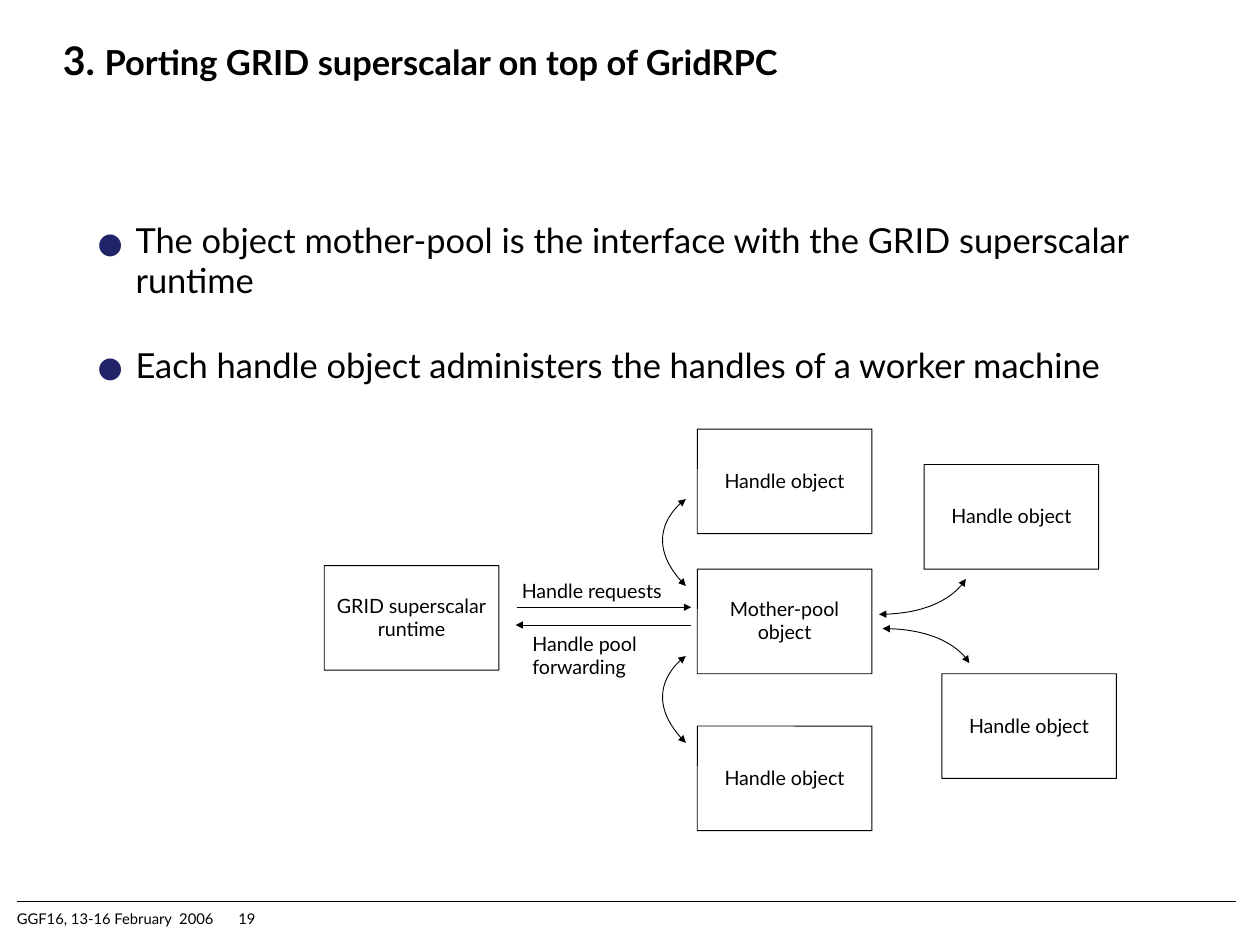
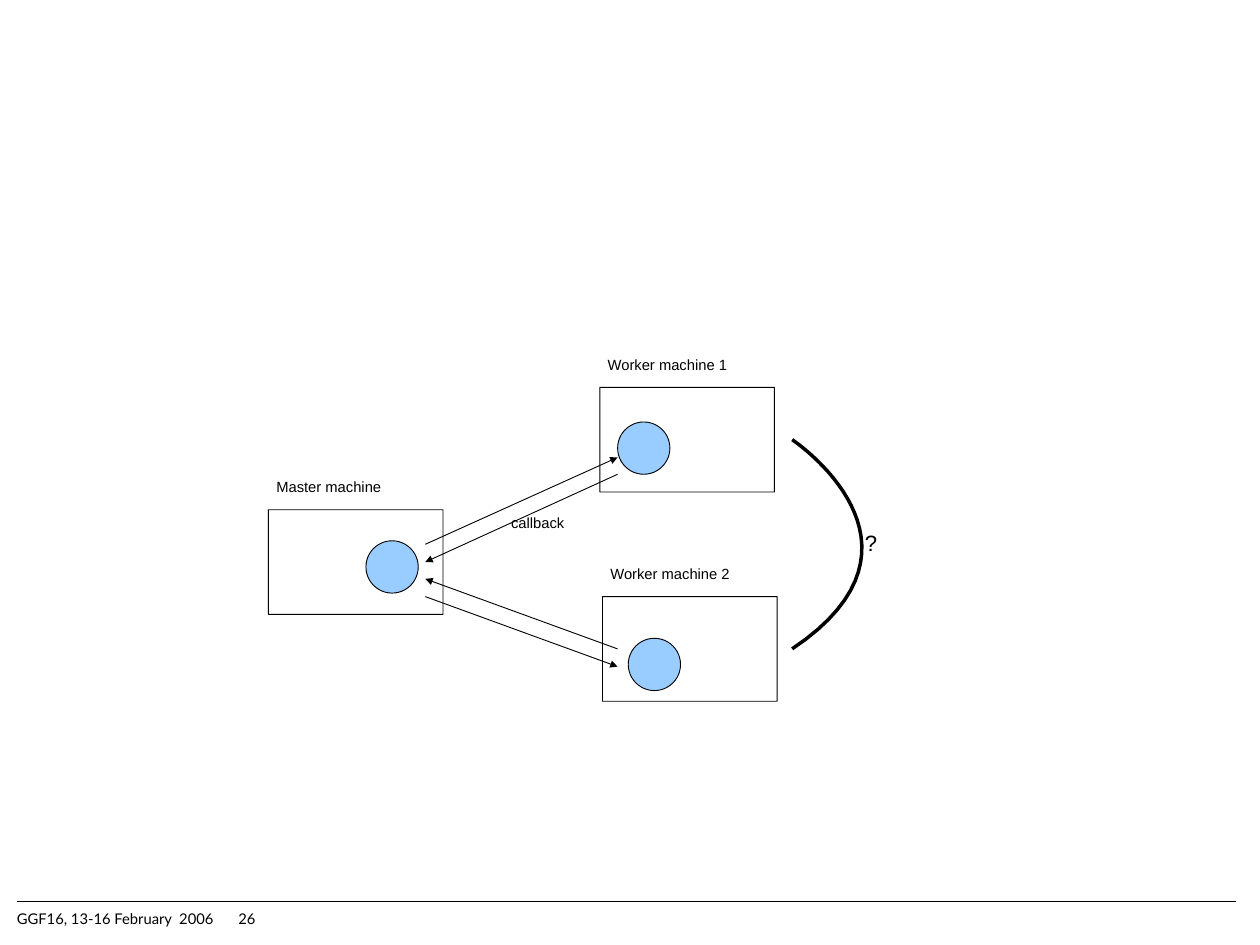
from lxml import etree
from pptx import Presentation
from pptx.dml.color import RGBColor
from pptx.enum.shapes import MSO_CONNECTOR, MSO_SHAPE
from pptx.enum.text import MSO_ANCHOR, MSO_AUTO_SIZE, PP_ALIGN
from pptx.oxml.ns import qn
from pptx.util import Inches, Pt

LINE = MSO_CONNECTOR.STRAIGHT
BOX, DISC = MSO_SHAPE.ROUNDED_RECTANGLE, MSO_SHAPE.OVAL
TOP, MIDDLE = MSO_ANCHOR.TOP, MSO_ANCHOR.MIDDLE
LEFT, CENTER = PP_ALIGN.LEFT, PP_ALIGN.CENTER
FIXED = MSO_AUTO_SIZE.NONE

# Shared look
BLACK, WHITE, SKY, NAVY = "000000", "FFFFFF", "99CCFF", "212466"
LATO, ARIAL = "Lato", "Arial"
THIN, BOLD = 0.75, 2.83
BOX_W, BOX_H, DISC_D = 1.97, 1.18, 0.59
PAD = (0.1, 0.05)


def color(code):
    return RGBColor.from_string(code)


def style(item, **look):
    for name, value in look.items():
        setattr(item, name, value)


def ink(run, size, name=LATO, bold=False):
    style(run.font, size=Pt(size), name=name, bold=bold)
    run.font.color.rgb = color(BLACK)


def node(parent, tag, **attrs):
    return etree.SubElement(parent, qn(tag), **attrs)


def frame(shape, pad=(0, 0), anchor=TOP, wrap=True):
    x, y = map(Inches, pad)
    style(shape.text_frame, auto_size=FIXED, word_wrap=wrap,
          vertical_anchor=anchor, margin_left=x, margin_right=x,
          margin_top=y, margin_bottom=y)
    return shape.text_frame


def fill_text(tf, text, size, name=LATO, align=LEFT):
    """Write one paragraph for each line of text."""
    tf.text = text
    for para in tf.paragraphs:
        style(para, alignment=align, line_spacing=0.98 if name == LATO else 0.93)
        for run in para.runs:
            ink(run, size, name)


def text_box(slide, x, y, w, h):
    return slide.shapes.add_textbox(*map(Inches, (x, y, w, h)))


def label(slide, text, x, y, w, h, size=12, name=ARIAL):
    tf = frame(text_box(slide, x, y, w, h), PAD, wrap=False)
    fill_text(tf, text, size, name)


def outline(shape, width=THIN):
    shape.line.color.rgb = color(BLACK)
    shape.line.width = Pt(width)


def solid(slide, kind, x, y, w, h, paint):
    shape = slide.shapes.add_shape(kind, *map(Inches, (x, y, w, h)))
    shape.shadow.inherit = False
    shape.fill.solid()
    shape.fill.fore_color.rgb = color(paint)
    outline(shape)
    return shape


def box(slide, x, y, text=""):
    shape = solid(slide, BOX, x, y, BOX_W, BOX_H, WHITE)
    shape.adjustments[0] = 0.001
    if text:
        fill_text(frame(shape, PAD, MIDDLE), text, 16, align=CENTER)


def disc(slide, x, y):
    solid(slide, DISC, x, y, DISC_D, DISC_D, SKY)


def tips(shape, *ends):
    ln = shape.element.spPr.find(qn("a:ln"))
    for end in ends:
        node(ln, end, type="triangle")


def line(slide, start, stop, width=THIN):
    wire = slide.shapes.add_connector(LINE, *map(Inches, (*start, *stop)))
    outline(wire, width)
    node(wire.element.spPr, "a:effectLst")
    return wire


def arrow(slide, start, stop):
    tips(line(slide, start, stop), "a:tailEnd")


def curve(slide, start, bend, stop, width=THIN, steps=32):
    """Draw a cubic curve whose second control point is its end."""
    def spot(t):
        a, b = (1 - t) ** 3, 3 * t * (1 - t) ** 2
        return [Inches(a * p + b * q + (1 - a - b) * r)
                for p, q, r in zip(start, bend, stop)]

    pen = slide.shapes.build_freeform(*spot(0))
    pen.add_line_segments([spot(i / steps) for i in range(1, steps + 1)],
                          close=False)
    shape = pen.convert_to_shape()
    shape.shadow.inherit = False
    shape.fill.background()
    outline(shape, width)
    return shape


def link(slide, start, bend, stop):
    tips(curve(slide, start, bend, stop), "a:headEnd", "a:tailEnd")


def footer(slide, number):
    tf = frame(text_box(slide, 0.19, 10.27, 13.75, 0.2))
    tabs = node(tf.paragraphs[0]._p.get_or_add_pPr(), "a:tabLst")
    node(tabs, "a:tab", pos=str(Inches(6.93)), algn="ctr")
    fill_text(tf, f"GGF16, 13-16 February  2006\t{number}", 12)
    line(slide, (0.19, 10.17), (13.95, 10.17), 1)


def heading(slide, mark, text):
    title = slide.shapes.title
    place = map(Inches, (0.71, 0.2, 12.8, 0.98))
    style(title, **dict(zip(("left", "top", "width", "height"), place)))
    para = frame(title, anchor=MIDDLE).paragraphs[0]
    style(para, alignment=LEFT, line_spacing=0.98)
    for part, size in ((mark, 32), (text, 28)):
        run = para.add_run()
        run.text = part
        ink(run, size, bold=True)


def bullets(slide, items):
    tf = frame(text_box(slide, 0.71, 2.49, 12.8, 2.2))
    fill_text(tf, "\n".join(text for text, _ in items), 28)
    for para, (_, space) in zip(tf.paragraphs, items):
        style(para, line_spacing=space, space_after=Pt(26))
        props = para._p.get_or_add_pPr()
        props.set("marL", str(Inches(0.82)))
        props.set("indent", str(Inches(-0.47)))
        node(node(props, "a:buClr"), "a:srgbClr", val=NAVY)
        node(props, "a:buSzPct", val="171000")
        node(props, "a:buFont", typeface=LATO)
        node(props, "a:buChar", char="•")


def pool_slide(deck):
    slide = deck.slides.add_slide(deck.slide_layouts[5])
    footer(slide, 19)
    heading(slide, "3. ", "Porting GRID superscalar on top of GridRPC")
    bullets(slide, [
        ("The object mother-pool is the interface with the GRID superscalar "
         "runtime", 0.98),
        ("Each handle object administers the handles of a worker machine",
         1.24)])

    # Objects
    box(slide, 3.66, 6.38, "GRID superscalar\nruntime")
    box(slide, 7.87, 6.42, "Mother-pool\nobject")
    for x, y in ((7.87, 4.84), (10.43, 5.24), (7.87, 8.19), (10.63, 7.6)):
        box(slide, x, y, "Handle object")

    # Links from the pool to its handles
    for y in (5.63, 7.4):
        link(slide, (7.74, y + 0.98), (7.15, y + 0.39), (7.74, y))
    for x, y, rise in ((9.92, 6.93, -0.4), (9.96, 7.09, 0.39)):
        link(slide, (x, y), (x + 0.79, y), (x + 0.98, y + rise))

    # Messages between runtime and pool
    label(slide, "Handle requests", 5.79, 6.49, 2.01, 0.36, 16, LATO)
    arrow(slide, (5.83, 6.85), (7.8, 6.85))
    arrow(slide, (7.8, 7.05), (5.82, 7.05))
    label(slide, "Handle pool\nforwarding", 5.91, 7.09, 1.59, 0.62, 16, LATO)


def machine_slide(deck):
    slide = deck.slides.add_slide(deck.slide_layouts[6])
    footer(slide, 26)

    # Machines, each with its process
    for text, x, y, w, dx, dy in (
            ("Master machine", 3.03, 5.75, 1.38, 1.1, 0.35),
            ("Worker machine 1", 6.77, 4.37, 1.55, 0.2, 0.39),
            ("Worker machine 2", 6.8, 6.73, 1.55, 0.29, 0.47)):
        box(slide, x, y)
        label(slide, text, x - 0.01, y - 0.39, w, 0.28)
        disc(slide, x + dx, y + dy)

    # Calls and callbacks
    near, far = 4.8, 6.97
    for call, reach, reply, back in ((6.14, 5.16, 5.35, 6.34),
                                     (6.73, 7.52, 7.32, 6.53)):
        arrow(slide, (near, call), (far, reach))
        arrow(slide, (far, reply), (near, back))
    label(slide, "callback", 5.67, 5.76, 0.8, 0.28)

    # Open question between the workers
    curve(slide, (8.94, 7.32), (10.71, 6.14), (8.94, 4.96), BOLD)
    tf = frame(text_box(slide, 8.94, 5.93, 1.78, 0.42), (0.12, 0.07), MIDDLE)
    fill_text(tf, "?", 18, ARIAL, CENTER)


def main():
    deck = Presentation()
    style(deck, slide_width=Inches(14.22), slide_height=Inches(10.66))
    pool_slide(deck)
    machine_slide(deck)
    deck.save("out.pptx")


if __name__ == "__main__":
    main()
